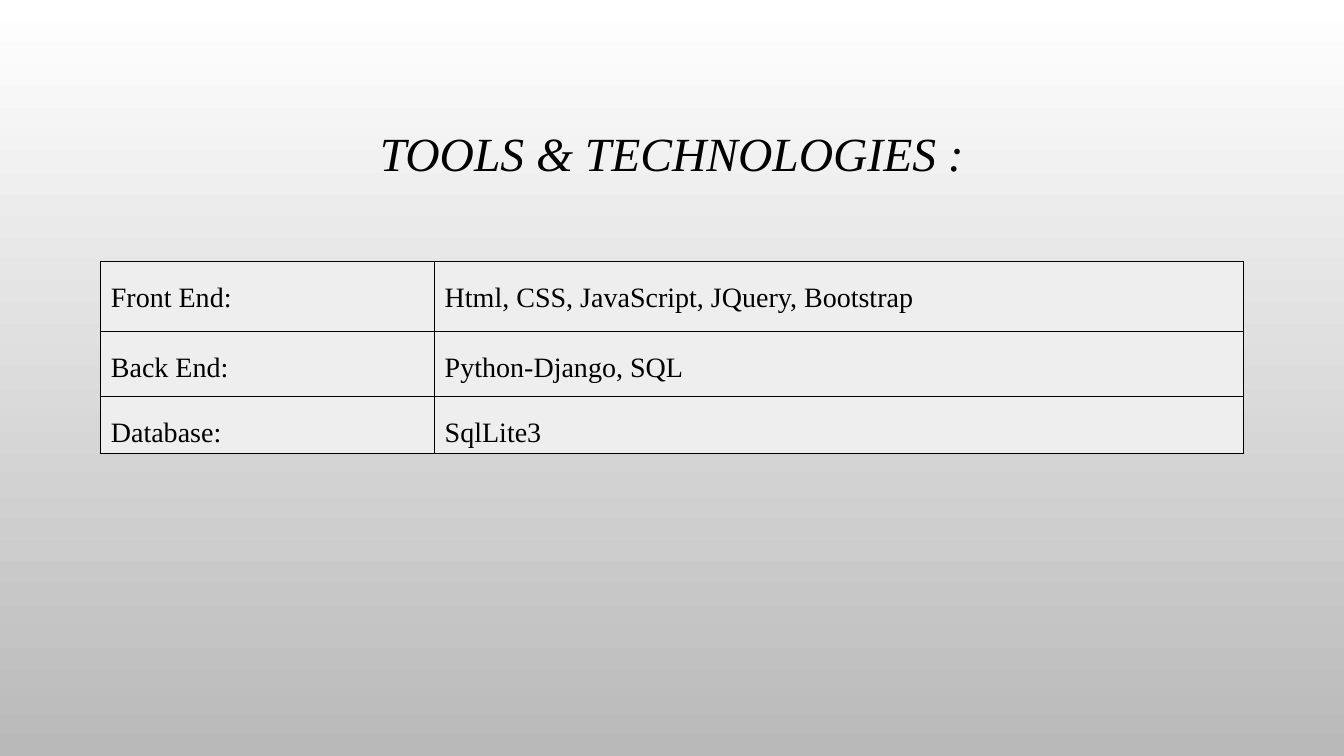
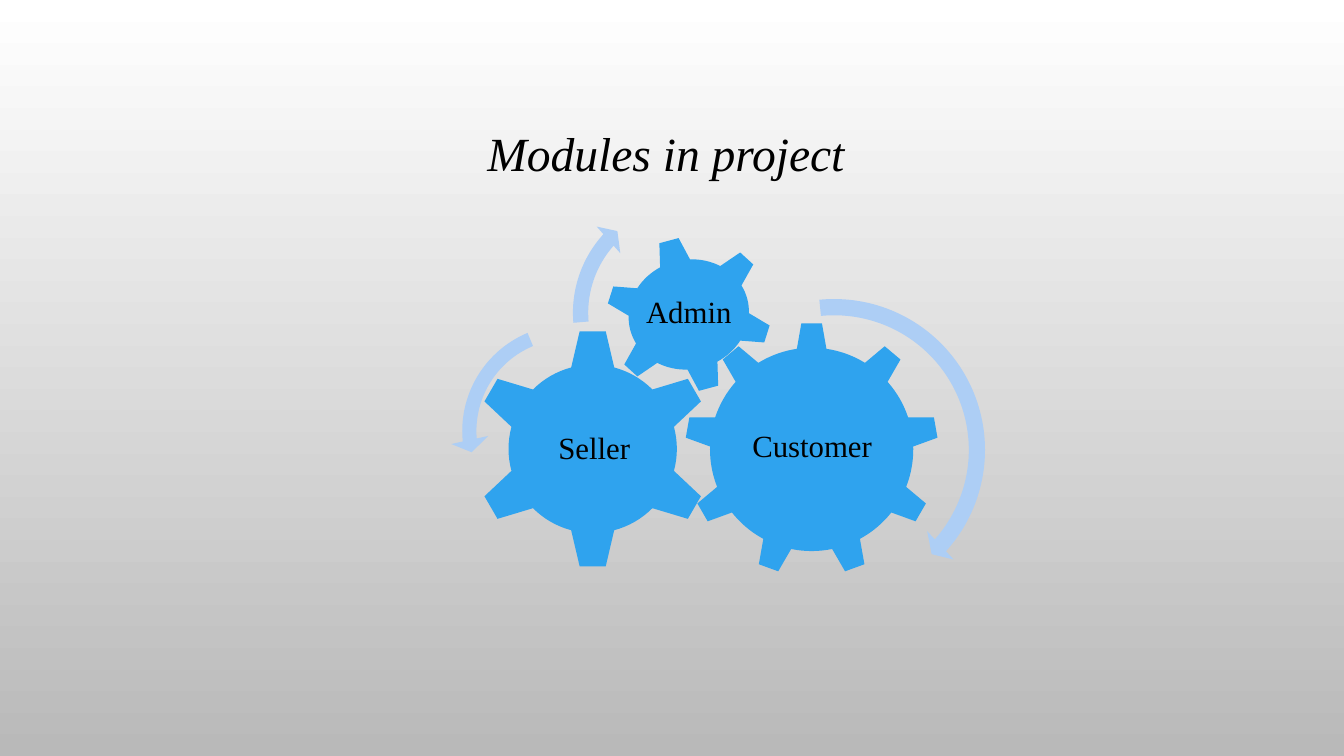
import dataclasses
import typing

import lxml.etree
import pptx
import pptx.dml.color
import pptx.enum.shapes
import pptx.enum.text
import pptx.oxml.ns
import pptx.util

PX = 9525  # EMU per px, 96 px to the inch
FONT = "Times New Roman"
HUES = {
    "top": "FFFFFF",
    "base": "B9B9B9",
    "ink": "000000",
    "cell": "EEEEEE",
    "gear": "2FA3EE",
    "arrow": "ADCEF5",
}
KIND = pptx.enum.shapes.MSO_SHAPE
ALIGN = pptx.enum.text.PP_ALIGN
MIDDLE = pptx.enum.text.MSO_ANCHOR.MIDDLE


class Box(typing.NamedTuple):
    left: int
    top: int
    width: int
    height: int


@dataclasses.dataclass(frozen=True)
class Gear:
    name: str
    kind: KIND
    box: Box
    label: Box
    turn: int = 0


@dataclasses.dataclass(frozen=True)
class Arrow:
    kind: KIND
    box: Box
    bends: tuple[float, ...]


TITLE = Box(96, 65, 1088, 168)
TABLE = Box(96, 249, 1088, 179)
COLS = (318, 770)
ROWS = (67, 62, 50)
TOOLS = (
    ("Front End:", "Html, CSS, JavaScript, JQuery, Bootstrap"),
    ("Back End:", "Python-Django, SQL"),
    ("Database:", "SqlLite3"),
)
GEARS = (
    Gear("Customer", KIND.GEAR_9, Box(652, 307, 242, 242), Box(701, 364, 145, 124)),
    Gear("Seller", KIND.GEAR_6, Box(450, 313, 229, 229), Box(509, 372, 114, 113)),
    Gear("Admin", KIND.GEAR_6, Box(576, 225, 160, 149), Box(612, 257, 88, 84), 345),
)
ARROWS = (
    Arrow(KIND.CIRCULAR_ARROW, Box(640, 274, 309, 309), (0.05, 2.99, 25.16, 158.62, 0.06)),
    Arrow(KIND.LEFT_CIRCULAR_ARROW, Box(429, 298, 225, 225), (0.06, 4.3, 104.89, 148.38, 0.08)),
    Arrow(KIND.CIRCULAR_ARROW, Box(536, 177, 242, 242), (0.06, 3.94, 133.14, 105.08, 0.07)),
)


def px(count: int) -> pptx.util.Emu:
    return pptx.util.Emu(count * PX)


def place(box: Box) -> tuple[pptx.util.Emu, ...]:
    return tuple(px(side) for side in box)


def hue(name: str) -> pptx.dml.color.RGBColor:
    return pptx.dml.color.RGBColor.from_string(HUES[name])


def write(frame, text: str, size: int, space: float, align=ALIGN.CENTER, slant: bool = False) -> None:
    frame.text = text
    line = frame.paragraphs[0]
    line.alignment = align
    line.line_spacing = space
    line.font.name = FONT
    line.font.size = pptx.util.Pt(size)
    line.font.italic = slant
    line.font.color.rgb = hue("ink")


def set_theme(deck) -> None:
    """Give the master its gradient and the title layout its place."""
    fill = deck.slide_master.background.fill
    fill.gradient()
    fill.gradient_angle = 270
    for stop, name in zip(fill.gradient_stops, ("top", "base")):
        stop.color.rgb = hue(name)
    title = deck.slide_layouts[5].placeholders[0]
    title.left, title.top, title.width, title.height = place(TITLE)


def add_slide(deck, text: str):
    slide = deck.slides.add_slide(deck.slide_layouts[5])
    frame = slide.shapes.title.text_frame
    frame.auto_size = pptx.enum.text.MSO_AUTO_SIZE.NONE
    frame.vertical_anchor = MIDDLE
    write(frame, text, 34, 0.9, slant=True)
    return slide


def add_edges(cell) -> None:
    """Draw a thin line on all four sides of the cell."""
    qn = pptx.oxml.ns.qn
    props = cell._tc.get_or_add_tcPr()
    for side in ("L", "R", "T", "B"):
        edge = lxml.etree.SubElement(props, qn(f"a:ln{side}"), w=str(pptx.util.Pt(1)))
        fill = lxml.etree.SubElement(edge, qn("a:solidFill"))
        lxml.etree.SubElement(fill, qn("a:srgbClr"), val=HUES["ink"])


def add_tools(slide) -> None:
    table = slide.shapes.add_table(len(ROWS), len(COLS), *place(TABLE)).table
    table.first_row = table.horz_banding = False
    for col, width in zip(table.columns, COLS):
        col.width = px(width)
    for row, height, texts in zip(table.rows, ROWS, TOOLS):
        row.height = px(height)
        for cell, text in zip(row.cells, texts):
            add_edges(cell)
            cell.fill.solid()
            cell.fill.fore_color.rgb = hue("cell")
            write(cell.text_frame, text, 20, 1.5, ALIGN.LEFT)


def add_form(group, kind: KIND, box: Box, name: str):
    form = group.shapes.add_shape(kind, *place(box))
    form.shadow.inherit = False
    form.fill.solid()
    form.fill.fore_color.rgb = hue(name)
    form.line.fill.background()
    return form


def add_gear(group, gear: Gear) -> None:
    add_form(group, gear.kind, gear.box, "gear").rotation = gear.turn
    frame = group.shapes.add_textbox(*place(gear.label)).text_frame
    frame.word_wrap = True
    frame.vertical_anchor = MIDDLE
    frame.margin_left = frame.margin_right = px(3)
    frame.margin_top = frame.margin_bottom = px(3)
    write(frame, gear.name, 22, 0.9)


def add_arrow(group, arrow: Arrow) -> None:
    form = add_form(group, arrow.kind, arrow.box, "arrow")
    for index, bend in enumerate(arrow.bends):
        form.adjustments[index] = bend


def main() -> None:
    deck = pptx.Presentation()
    deck.slide_width, deck.slide_height = px(1280), px(720)
    set_theme(deck)

    add_tools(add_slide(deck, "TOOLS & TECHNOLOGIES :"))

    group = add_slide(deck, "Modules in project ").shapes.add_group_shape()
    for gear in GEARS:
        add_gear(group, gear)
    for arrow in ARROWS:
        add_arrow(group, arrow)

    deck.save("out.pptx")


if __name__ == "__main__":
    main()
